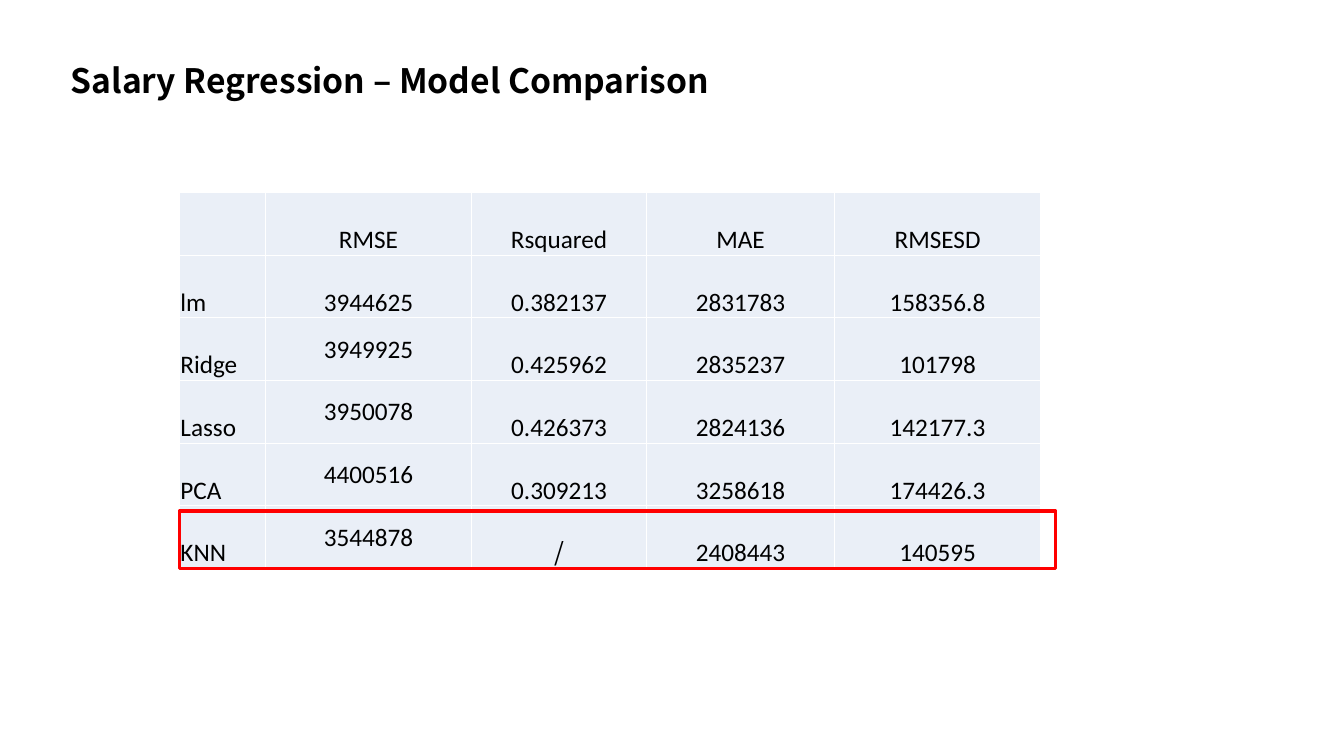
"""Build a slide comparing salary regression models in a table."""
from dataclasses import dataclass

from lxml.etree import SubElement
from pptx import Presentation
from pptx.dml.color import RGBColor
from pptx.enum.shapes import MSO_SHAPE
from pptx.enum.text import MSO_ANCHOR as Anchor, PP_ALIGN as Align
from pptx.oxml.ns import qn
from pptx.slide import Slide
from pptx.table import _Cell as Cell
from pptx.util import Inches, Pt

COLORS = {"text": "000000", "cell": "EAEFF7", "border": "FFFFFF", "highlight": "FF0000"}
BODY_FONT = "Calibri"
TITLE_FONT = "Noto Sans CJK SC"
TABLE_LEFT, TABLE_TOP, TABLE_HEIGHT = 1.78, 1.91, 3.73
COLUMN_WIDTHS = (0.85, 2.05, 1.73, 1.87, 2.04)


@dataclass(frozen=True)
class Model:
    name: str
    rmse: str
    rsquared: str
    mae: str
    rmsesd: str
    rmse_anchor: Anchor = Anchor.MIDDLE

    def values(self) -> tuple[str, ...]:
        return self.name, self.rmse, self.rsquared, self.mae, self.rmsesd


ROWS = (
    Model("", "RMSE", "Rsquared", "MAE", "RMSESD", Anchor.BOTTOM),
    Model("lm", "3944625", "0.382137", "2831783", "158356.8", Anchor.BOTTOM),
    Model("Ridge", "3949925", "0.425962", "2835237", "101798"),
    Model("Lasso", "3950078", "0.426373", "2824136", "142177.3"),
    Model("PCA", "4400516", "0.309213", "3258618", "174426.3"),
    Model("KNN", "3544878", "/", "2408443", "140595"),
)


def color(name: str) -> RGBColor:
    return RGBColor.from_string(COLORS[name])


def add_title(page: Slide, text: str) -> None:
    title = page.shapes.title
    title.left, title.top = Inches(0.6), Inches(0.59)
    title.width, title.height = Inches(11.2), Inches(0.46)
    title.text_frame.text = text
    title.text_frame.vertical_anchor = Anchor.MIDDLE
    para = title.text_frame.paragraphs[0]
    para.alignment = Align.LEFT
    para.line_spacing = 0.9
    para.font.name, para.font.size, para.font.bold = TITLE_FONT, Pt(24), True
    para.font.color.rgb = color("text")


def add_borders(cell: Cell) -> None:
    properties = cell._tc.get_or_add_tcPr()
    for side in ("a:lnL", "a:lnR", "a:lnT", "a:lnB"):
        line = SubElement(properties, qn(side), w=str(Pt(1)))
        fill = SubElement(line, qn("a:solidFill"))
        SubElement(fill, qn("a:srgbClr"), val=COLORS["border"])


def fill_cell(cell: Cell, text: str, align: Align, anchor: Anchor) -> None:
    add_borders(cell)
    cell.fill.solid()
    cell.fill.fore_color.rgb = color("cell")
    cell.margin_left = cell.margin_right = cell.margin_top = Inches(0.01)
    cell.margin_bottom = 0
    cell.vertical_anchor = anchor
    cell.text = text
    para = cell.text_frame.paragraphs[0]
    para.alignment = align
    para.font.name = TITLE_FONT if text == "/" else BODY_FONT
    para.font.size = Pt(18)
    para.font.color.rgb = color("text")


def add_comparison(page: Slide) -> None:
    table = page.shapes.add_table(
        len(ROWS), len(COLUMN_WIDTHS), Inches(TABLE_LEFT), Inches(TABLE_TOP),
        Inches(sum(COLUMN_WIDTHS)), Inches(TABLE_HEIGHT),
    ).table
    for column, width in zip(table.columns, COLUMN_WIDTHS):
        column.width = Inches(width)
    for row, model in enumerate(ROWS):
        for column, text in enumerate(model.values()):
            align = Align.CENTER if column else Align.LEFT
            anchor = model.rmse_anchor if column == 1 else Anchor.BOTTOM
            fill_cell(table.cell(row, column), text, align, anchor)


def add_highlight(page: Slide) -> None:
    height = 0.57
    box = page.shapes.add_shape(
        MSO_SHAPE.RECTANGLE, Inches(TABLE_LEFT),
        Inches(TABLE_TOP + TABLE_HEIGHT - height), Inches(8.69), Inches(height),
    )
    box.shadow.inherit = False
    box.fill.background()
    box.line.color.rgb = color("highlight")
    box.line.width = Pt(2.25)


def main() -> None:
    deck = Presentation()
    deck.slide_width, deck.slide_height = Inches(13.33), Inches(7.5)
    page = deck.slides.add_slide(deck.slide_layouts[5])
    add_title(page, "Salary Regression – Model Comparison")
    add_comparison(page)
    add_highlight(page)
    deck.save("out.pptx")


if __name__ == "__main__":
    main()
